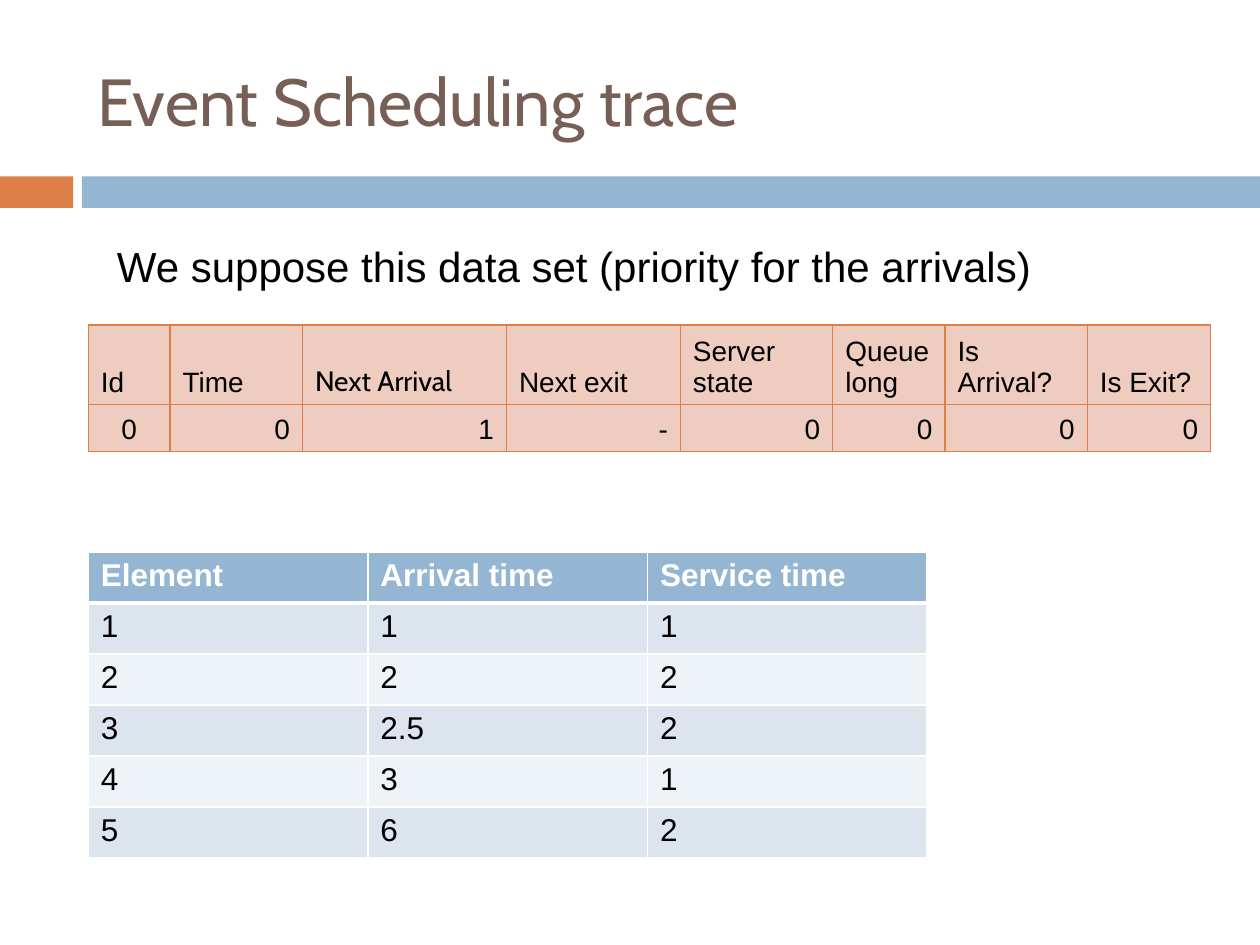
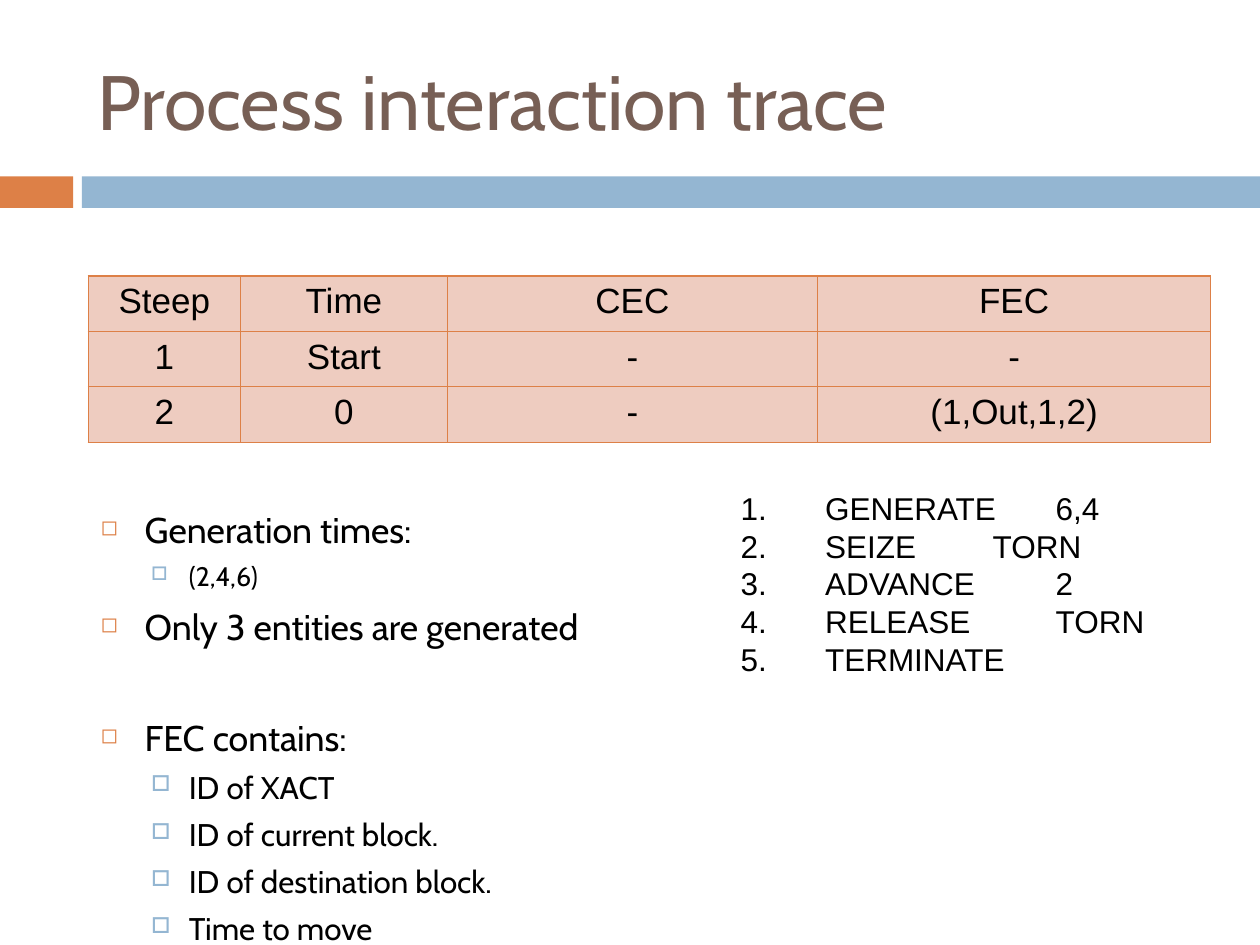
from lxml import etree
from pptx import Presentation
from pptx.dml.color import RGBColor
from pptx.enum.shapes import MSO_SHAPE
from pptx.enum.text import MSO_ANCHOR, MSO_AUTO_SIZE, PP_ALIGN
from pptx.oxml.ns import qn
from pptx.util import Inches, Pt

RECT = MSO_SHAPE.RECTANGLE
LEFT, CENTER, RIGHT = PP_ALIGN.LEFT, PP_ALIGN.CENTER, PP_ALIGN.RIGHT
TOP, MIDDLE, BOTTOM = MSO_ANCHOR.TOP, MSO_ANCHOR.MIDDLE, MSO_ANCHOR.BOTTOM
NO_FIT = MSO_AUTO_SIZE.NONE

COLORS = {
    "orange": "DD8047", "blue": "94B6D2", "brown": "775F55",
    "peach": "EECCC0", "band": "DCE5EE", "pale": "EEF3F7",
    "black": "000000", "white": "FFFFFF",
}
BODY_FONT, TITLE_FONT = "Arial", "Cabin"
MARGIN = 0.7

# Level: left indent, hanging, space before, bullet, bullet colour, bullet percent
BULLETS = [(0.35, 0.35, 7, "◻", "orange", 60),
           (0.7, 0.3, 5.5, "□", "blue", 70)]


def rgb(name):
    return RGBColor.from_string(COLORS[name])


def add_xml(parent, tag, **attributes):
    return etree.SubElement(parent, qn(tag), attributes)


class Deck:
    """Holds the style and the slide being filled."""

    def __init__(self):
        self.prs = Presentation()
        self.prs.slide_width, self.prs.slide_height = Inches(10), Inches(7.5)
        self.slide = None

    def style(self, paragraph, size, font=BODY_FONT, color="black", bold=False):
        paragraph.font.size = Pt(size)
        paragraph.font.name = font
        paragraph.font.bold = bold
        paragraph.font.color.rgb = rgb(color)

    def new_slide(self, title, size):
        self.slide = self.prs.slides.add_slide(self.prs.slide_layouts[5])
        self.band(0, 0.58, "orange")
        self.band(0.65, 9.35, "blue")
        heading = self.slide.shapes.title
        heading.left, heading.top = Inches(0.67), Inches(0.25)
        heading.width, heading.height = Inches(8.92), Inches(1.08)
        frame = heading.text_frame
        frame.text = title
        frame.auto_size = NO_FIT
        frame.vertical_anchor = MIDDLE
        frame.paragraphs[0].alignment = LEFT
        self.style(frame.paragraphs[0], size, TITLE_FONT, "brown")

    def band(self, left, width, color):
        bar = self.slide.shapes.add_shape(
            RECT, Inches(left), Inches(1.4), Inches(width), Inches(0.25))
        bar.shadow.inherit = False
        bar.fill.solid()
        bar.fill.fore_color.rgb = rgb(color)
        bar.line.fill.background()

    def text(self, left, top, width, height, lines):
        """Add a text box and return its paragraphs, one for each line."""
        box = self.slide.shapes.add_textbox(
            Inches(left), Inches(top), Inches(width), Inches(height))
        frame = box.text_frame
        frame.word_wrap = True
        frame.text = "\n".join(lines)
        return frame.paragraphs

    def hang(self, paragraph, indent, hanging):
        props = paragraph._p.get_or_add_pPr()
        props.set("marL", str(Inches(indent)))
        props.set("indent", str(-Inches(hanging)))
        return props

    def bullet_list(self, left, top, width, height, items):
        """Items are (level, size, extra space before, text)."""
        paragraphs = self.text(left, top, width, height, [item[-1] for item in items])
        for i, (paragraph, (level, size, extra, _)) in enumerate(zip(paragraphs, items)):
            indent, hanging, before, mark, color, percent = BULLETS[level]
            paragraph.level = level
            props = self.hang(paragraph, indent, hanging)
            add_xml(add_xml(props, "a:buClr"), "a:srgbClr", val=COLORS[color])
            add_xml(props, "a:buSzPct", val=str(percent * 1000))
            add_xml(props, "a:buChar", char=mark)
            if i:
                paragraph.space_before = Pt(before + extra)
            self.style(paragraph, size, TITLE_FONT)

    def numbered_list(self, left, top, width, height, items, size):
        for paragraph in self.text(left, top, width, height, items):
            props = self.hang(paragraph, 0.67, 0.67)
            add_xml(props, "a:buAutoNum", type="arabicPeriod")
            self.style(paragraph, size)

    def borders(self, cell, color, widths):
        """Draw the left, right, top and bottom edges of a cell."""
        props = cell._tc.get_or_add_tcPr()
        for side, width in zip("LRTB", widths):
            edge = add_xml(props, f"a:ln{side}", w=str(Pt(width)))
            add_xml(add_xml(edge, "a:solidFill"), "a:srgbClr", val=COLORS[color])

    def table(self, top, columns, heights, rows, size, look):
        """look(row, column) gives fill, border colour, edge widths, alignment,
        anchor, text colour and bold."""
        grid = self.slide.shapes.add_table(
            len(rows), len(columns), Inches(MARGIN), Inches(top),
            Inches(sum(columns)), Inches(sum(heights))).table
        grid.first_row = grid.horz_banding = False
        for column, width in zip(grid.columns, columns):
            column.width = Inches(width)
        for r, (values, height) in enumerate(zip(rows, heights)):
            grid.rows[r].height = Inches(height)
            for c, value in enumerate(values):
                fill, line, widths, align, anchor, color, bold = look(r, c)
                cell = grid.cell(r, c)
                cell.text = value
                cell.vertical_anchor = anchor
                self.borders(cell, line, widths)
                cell.fill.solid()
                cell.fill.fore_color.rgb = rgb(fill)
                paragraph = cell.text_frame.paragraphs[0]
                paragraph.alignment = align
                self.style(paragraph, size, color=color, bold=bold)
        return grid


def peach_look(align, anchor):
    return "peach", "orange", [0.79] * 4, align, anchor, "black", False


def state_look(row, column):
    align = LEFT if row == 0 else RIGHT if column else CENTER
    return peach_look(align, BOTTOM)


def trace_look(row, column):
    return peach_look(CENTER, TOP)


def data_look(row, column):
    if row == 0:
        return "blue", "white", [1, 1, 1, 3], LEFT, TOP, "white", True
    fill = "band" if row % 2 else "pale"
    return fill, "white", [1, 1, 3 if row == 1 else 1, 1], LEFT, TOP, "black", False


def event_scheduling(deck):
    deck.new_slide("Event Scheduling trace", 38)
    intro = deck.text(0.83, 1.86, 8.63, 0.71,
                      ["We suppose this data set (priority for the arrivals)"])
    deck.style(intro[0], 24)

    # State of the system at the start
    state = deck.table(
        2.58, [0.65, 1.05, 1.62, 1.38, 1.21, 0.89, 1.13, 0.98], [0.62, 0.37],
        [["Id", "Time", "Next Arrival", "Next exit", "Server state",
          "Queue long", "Is Arrival?", "Is Exit?"],
         ["0", "0", "1", "-", "0", "0", "0", "0"]],
        16, state_look)
    state.cell(0, 2).text_frame.paragraphs[0].font.name = TITLE_FONT

    # Data set
    data = [["Element", "Arrival time", "Service time"],
            ["1", "1", "1"], ["2", "2", "2"], ["3", "2.5", "2"],
            ["4", "3", "1"], ["5", "6", "2"]]
    deck.table(4.38, [2.22] * 3, [0.405] * len(data), data, 18, data_look)


def process_interaction(deck):
    deck.new_slide("Process interaction trace", 44)

    # Event chains
    deck.table(
        2.19, [1.21, 1.64, 2.94, 3.12], [0.44] * 3,
        [["Steep", "Time", "CEC", "FEC"],
         ["1", "Start", "-", "-"],
         ["2", "0", "-", "(1,Out,1,2)"]],
        20, trace_look)

    # Assumptions and contents of the FEC
    deck.bullet_list(MARGIN, 3.98, 4.92, 3.2, [
        (0, 20.4, 0, "Generation times:"),
        (1, 15.3, 0, "(2,4,6)"),
        (0, 20.4, 0, "Only 3 entities are generated"),
        (0, 20.4, 32, "FEC contains:"),
        (1, 17.9, 0, "ID of XACT"),
        (1, 17.9, 0, "ID of current block."),
        (1, 17.9, 0, "ID of destination block."),
        (1, 17.9, 0, "Time to move"),
    ])

    # Program blocks
    deck.numbered_list(5.78, 3.83, 3.91, 1.62, [
        "GENERATE\t6,4", "SEIZE\t\tTORN", "ADVANCE\t\t2",
        "RELEASE\t\tTORN", "TERMINATE"], 18)


def main():
    deck = Deck()
    event_scheduling(deck)
    process_interaction(deck)
    deck.prs.save("out.pptx")


if __name__ == "__main__":
    main()
